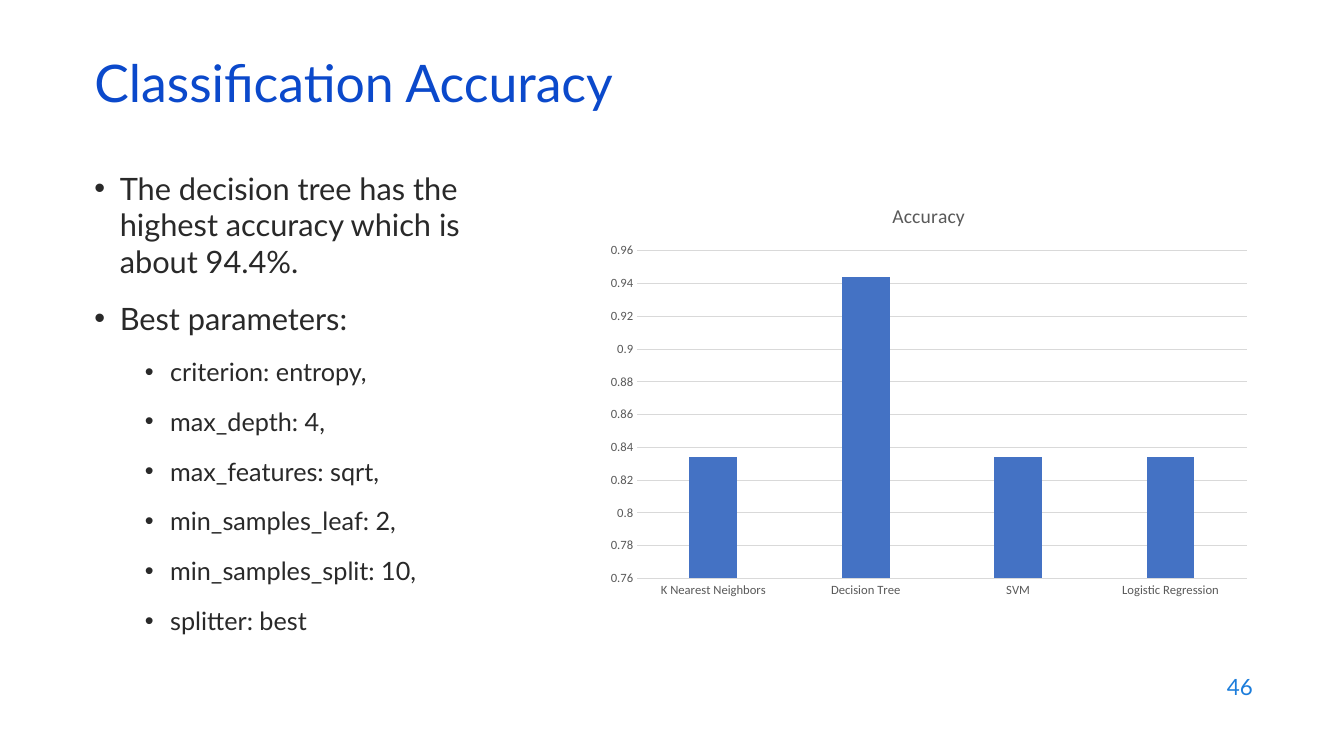
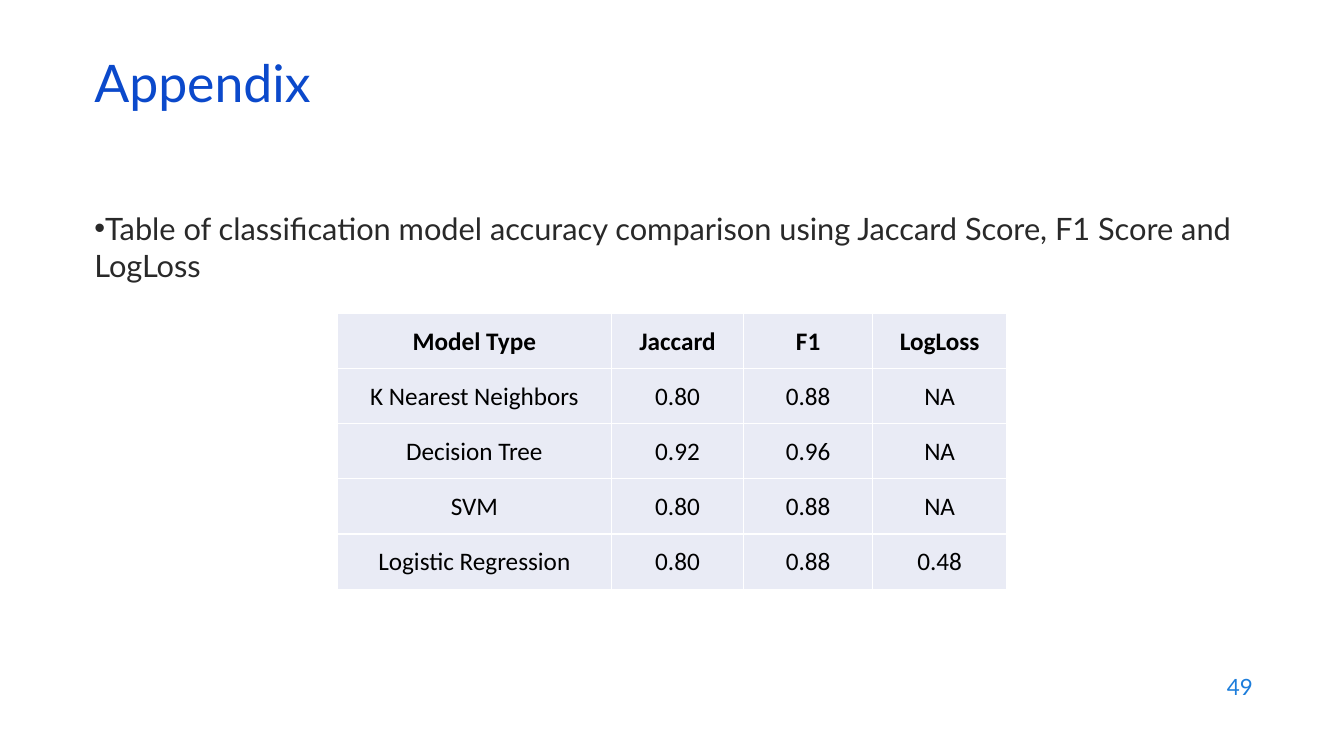
import pptx
import pptx.chart.data
import pptx.dml.color
import pptx.enum.chart
import pptx.enum.text
import pptx.oxml
import pptx.oxml.ns
import pptx.util
from lxml import etree

Cm = pptx.util.Cm
Pt = pptx.util.Pt
ALIGN = pptx.enum.text.PP_ALIGN
ANCHOR = pptx.enum.text.MSO_ANCHOR

COLORS = {
    "title": "0B49CB",
    "number": "1C7DDB",
    "body": "292929",
    "bar": "4472C4",
    "grid": "D9D9D9",
    "label": "595959",
    "cell": "E9EBF5",
    "border": "FFFFFF",
    "ink": "000000",
}
HEADING_FONT = "Lato"
DATA_FONT = "Calibri"
LEFT = 2.13
CONTENT_WIDTH = 29.21
MODELS = ["K Nearest Neighbors", "Decision Tree", "SVM", "Logistic Regression"]


def rgb(name):
    """Return the named palette colour."""
    return pptx.dml.color.RGBColor.from_string(COLORS[name])


def style_font(font, size, color, name, bold=False):
    """Set size, colour, typeface and weight of a font."""
    font.size = Pt(size)
    font.name = name
    font.bold = bold
    font.color.rgb = rgb(color)


def write_text(para, text, size, color, font=HEADING_FONT, bold=False,
               align=ALIGN.LEFT, line_spacing=None, space_before=0):
    """Write one formatted run into a paragraph."""
    para.alignment = align
    para.line_spacing = line_spacing
    para.space_before = Pt(space_before)
    span = para.add_run()
    span.text = text
    style_font(span.font, size, color, font, bold)


def add_box(page, left, top, width, height, anchor=ANCHOR.TOP):
    """Add a wrapping text box and return its text frame."""
    box = page.shapes.add_textbox(Cm(left), Cm(top), Cm(width), Cm(height))
    frame = box.text_frame
    frame.word_wrap = True
    frame.vertical_anchor = anchor
    return frame


def add_page(deck, title, number):
    """Add a blank page with its title and page number."""
    page = deck.slides.add_slide(deck.slide_layouts[6])
    heading = add_box(page, LEFT, 1.5, CONTENT_WIDTH, 1.52, ANCHOR.MIDDLE)
    write_text(heading.paragraphs[0], title, 37, "title", line_spacing=0.7)
    footer = add_box(page, 24.2, 16.74, 7.62, 1.12, ANCHOR.MIDDLE)
    write_text(footer.paragraphs[0], str(number), 16, "number", align=ALIGN.RIGHT)
    return page


def set_bullet(para, margin, hanging):
    """Give a paragraph a round bullet with the given indents."""
    props = para._p.get_or_add_pPr()
    props.set("marL", str(Cm(margin)))
    props.set("indent", str(-Cm(hanging)))
    etree.SubElement(props, pptx.oxml.ns.qn("a:buFont")).set("typeface", "Arial")
    etree.SubElement(props, pptx.oxml.ns.qn("a:buChar")).set("char", "•")


def add_bullets(page, left, top, width, height, items, hanging=0.64):
    """Place a bulleted list of (level, text) items."""
    frame = add_box(page, left, top, width, height)
    for index, (level, text) in enumerate(items):
        para = frame.add_paragraph() if index else frame.paragraphs[0]
        para.level = level
        set_bullet(para, hanging + 1.27 * level, hanging)
        write_text(para, text, 22 - 4 * level, "body",
                   space_before=14 if index else 0)


def add_accuracy_chart(page, left, top, width, height):
    """Place the column chart of model accuracy."""
    data = pptx.chart.data.CategoryChartData(number_format="General")
    data.categories = MODELS
    data.add_series("Accuracy", [0.834, 0.944, 0.834, 0.834])
    chart = page.shapes.add_chart(
        pptx.enum.chart.XL_CHART_TYPE.COLUMN_CLUSTERED,
        Cm(left), Cm(top), Cm(width), Cm(height), data).chart
    style_font(chart.font, 10, "ink", DATA_FONT)
    chart.has_legend = False
    chart.has_title = True
    write_text(chart.chart_title.text_frame.paragraphs[0], "Accuracy", 14,
               "label", DATA_FONT, align=ALIGN.CENTER)

    plot = chart.plots[0]
    plot.vary_by_categories = False
    plot.gap_width = 219
    plot.overlap = -27
    fill = plot.series[0].format.fill
    fill.solid()
    fill.fore_color.rgb = rgb("bar")

    for axis in (chart.category_axis, chart.value_axis):
        axis.major_tick_mark = pptx.enum.chart.XL_TICK_MARK.NONE
        axis.minor_tick_mark = pptx.enum.chart.XL_TICK_MARK.NONE
        style_font(axis.tick_labels.font, 9, "label", DATA_FONT)
    values = chart.value_axis
    values.minimum_scale, values.maximum_scale = 0.76, 0.96
    values.major_unit = 0.02
    values.format.line.fill.background()
    for line in (chart.category_axis.format.line, values.major_gridlines.format.line):
        line.width = Pt(0.75)
        line.color.rgb = rgb("grid")


def set_borders(cell, color, width):
    """Draw a solid line on each side of a cell."""
    props = cell._tc.get_or_add_tcPr()
    for side in ("lnL", "lnR", "lnT", "lnB"):
        line = etree.SubElement(props, pptx.oxml.ns.qn(f"a:{side}"), w=str(Pt(width)))
        solid = etree.SubElement(line, pptx.oxml.ns.qn("a:solidFill"))
        etree.SubElement(solid, pptx.oxml.ns.qn("a:srgbClr"), val=COLORS[color])


def add_score_table(page, left, top, widths, row_height, rows):
    """Place a table whose first row is bold."""
    table = page.shapes.add_table(
        len(rows), len(widths), Cm(left), Cm(top),
        Cm(sum(widths)), Cm(row_height * len(rows))).table
    table.horz_banding = False
    for column, width in zip(table.columns, widths):
        column.width = Cm(width)
    for row_index, texts in enumerate(rows):
        table.rows[row_index].height = Cm(row_height)
        for column_index, text in enumerate(texts):
            cell = table.cell(row_index, column_index)
            set_borders(cell, "border", 1)
            cell.fill.solid()
            cell.fill.fore_color.rgb = rgb("cell")
            cell.vertical_anchor = ANCHOR.MIDDLE
            cell.margin_left = cell.margin_right = cell.margin_top = Cm(0.03)
            cell.margin_bottom = 0
            write_text(cell.text_frame.paragraphs[0], text, 18, "ink", DATA_FONT,
                       bold=row_index == 0, align=ALIGN.CENTER)


def build_accuracy_page(deck):
    """Build the page with findings beside the accuracy chart."""
    page = add_page(deck, "Classification Accuracy", 46)
    add_bullets(page, LEFT, 4.14, 11.73, 12.24, [
        (0, "The decision tree has the highest accuracy which is about 94.4%."),
        (0, "Best parameters:"),
        (1, "criterion: entropy,"),
        (1, "max_depth: 4,"),
        (1, "max_features: sqrt,"),
        (1, "min_samples_leaf: 2,"),
        (1, "min_samples_split: 10,"),
        (1, "splitter: best"),
    ])
    add_accuracy_chart(page, 15.06, 4.67, 16.69, 10.59)


def build_appendix_page(deck):
    """Build the page with the table of model scores."""
    page = add_page(deck, "Appendix", 49)
    add_bullets(page, LEFT, 5.16, CONTENT_WIDTH, 12.09, [
        (0, "Table of classification model accuracy comparison using "
            "Jaccard Score, F1 Score and LogLoss"),
    ], hanging=0)
    scores = [("0.80", "0.88", "NA"), ("0.92", "0.96", "NA"),
              ("0.80", "0.88", "NA"), ("0.80", "0.88", "0.48")]
    rows = [("Model Type", "Jaccard", "F1", "LogLoss")]
    rows += [(model, *score) for model, score in zip(MODELS, scores)]
    add_score_table(page, 8.5, 7.9, [6.91, 3.33, 3.25, 3.38], 1.39, rows)


def main():
    """Build and save the deck."""
    deck = pptx.Presentation()
    deck.slide_width, deck.slide_height = Cm(33.87), Cm(19.05)
    build_accuracy_page(deck)
    build_appendix_page(deck)
    deck.save("out.pptx")


if __name__ == "__main__":
    main()
